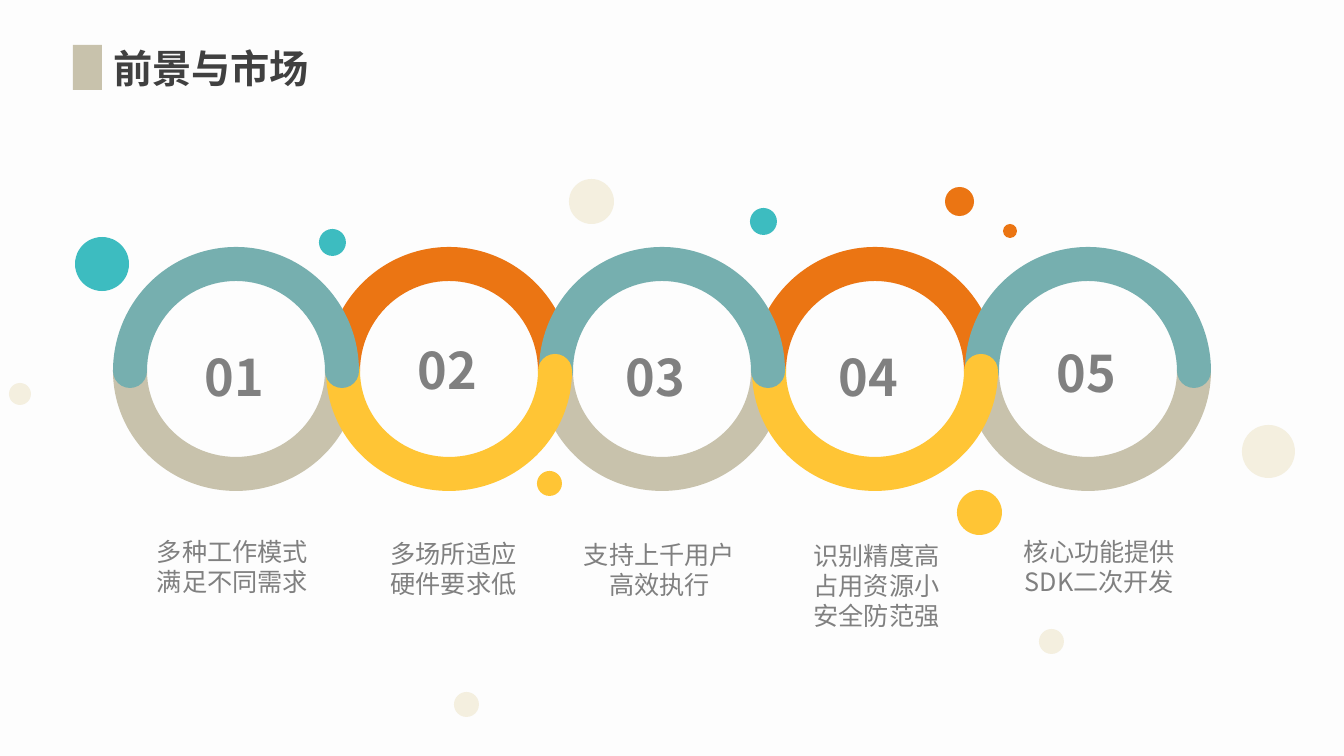
from lxml.etree import SubElement
from pptx import Presentation
from pptx.dml.color import RGBColor
from pptx.enum.shapes import MSO_SHAPE
from pptx.enum.text import MSO_ANCHOR, PP_ALIGN
from pptx.oxml.ns import qn
from pptx.util import Emu, Pt

COLORS = {
    "background": "FDFDFD", "title": "404040", "text": "808080",
    "sand": "C8C2AC", "cream": "F4EFDF", "orange": "EB7513",
    "teal": "76AFAF", "aqua": "3DBCC0", "yellow": "FFC535", "black": "000000",
}
FONT = "Noto Sans CJK SC"
RING_PITCH, MIDDLE_RING_X, RING_Y = 213, 662, 371
OUTER_RADIUS, BAND = 123, 34
CAP = BAND // 2
HALF_TURN = 180 * 60000

STAGES = [
    ("01", (195, 341), (114, 531, 237), ["多种工作模式", "满足不同需求"]),
    ("02", (408, 334), (346, 533, 215), ["多场所适应", "硬件要求低"]),
    ("03", (616, 341), (552, 534, 215), ["支持上千用户", "高效执行"]),
    ("04", (829, 341), (769, 535, 215), ["识别精度高", "占用资源小", "安全防范强"]),
    ("05", (1047, 337), (992, 531, 215), ["核心功能提供SDK二次开发"]),
]
DOTS = [
    (75, 237, 54, "aqua"), (750, 208, 27, "aqua"), (319, 229, 27, "aqua"),
    (9, 383, 22, "cream"), (569, 179, 45, "cream"), (957, 490, 45, "yellow"),
    (537, 471, 25, "yellow"), (454, 692, 25, "cream"), (945, 187, 29, "orange"),
    (1003, 224, 14, "orange"), (1242, 425, 53, "cream"), (1039, 629, 25, "cream"),
]


def px(value):
    return Emu(round(value * 914400 / 100.8))


class SlideBuilder:
    def __init__(self, deck):
        self.slide = deck.slides.add_slide(deck.slide_layouts[5])
        self.shapes = self.slide.shapes
        background = self.slide.background.fill
        background.solid()
        background.fore_color.rgb = self.color("background")

    def color(self, name):
        return RGBColor.from_string(COLORS[name])

    def paint(self, shape, color):
        shape.shadow.inherit = False
        shape.fill.solid()
        shape.fill.fore_color.rgb = self.color(color)
        shape.line.fill.background()

    def preset(self, kind, x, y, w, h, color):
        self.paint(self.shapes.add_shape(kind, px(x), px(y), px(w), px(h)), color)

    def half_ring(self, x, side, color):
        height = 124 if side < 0 else 120
        inner = OUTER_RADIUS - BAND
        corners = [
            (x, RING_Y + side * height), (x + OUTER_RADIUS, RING_Y),
            (x + inner + CAP, RING_Y - side * CAP), (x - inner, RING_Y),
        ]
        outline = self.shapes.build_freeform(
            px(x - OUTER_RADIUS), px(RING_Y), scale=1.0)
        outline.add_line_segments([(px(a), px(b)) for a, b in corners], close=True)
        shape = outline.convert_to_shape()
        contour = shape._element.find(".//" + qn("a:path"))
        for line in contour.findall(qn("a:lnTo")):
            contour.remove(line)
        closing = contour.find(qn("a:close"))
        for rx, ry, start, turn in (
            (OUTER_RADIUS, height, HALF_TURN, -side), (CAP, CAP, 0, -side),
            (inner, height - BAND, 0, side), (CAP, CAP, 0, -side),
        ):
            SubElement(contour, qn("a:arcTo"), wR=str(px(rx)), hR=str(px(ry)),
                       stAng=str(start), swAng=str(turn * HALF_TURN))
        contour.append(closing)
        self.paint(shape, color)

    def style(self, paragraph, size, color, bold):
        font = paragraph.font
        font.name, font.size, font.bold = FONT, Pt(size), bold
        font.color.rgb = self.color(color)
        for run in paragraph.runs:
            SubElement(run._r.get_or_add_rPr(), qn("a:ea"), typeface=FONT)

    def text(self, x, y, w, h, lines, size, bold=False, align=PP_ALIGN.LEFT):
        frame = self.shapes.add_textbox(px(x), px(y), px(w), px(h)).text_frame
        frame.word_wrap = True
        frame.text = "\n".join(lines)
        for paragraph in frame.paragraphs:
            paragraph.alignment = align
            self.style(paragraph, size, "text", bold)

    def title(self, x, y, w, h, words):
        title = self.shapes.title
        title.left, title.top, title.width, title.height = map(px, (x, y, w, h))
        frame = title.text_frame
        frame.text = words
        frame.word_wrap = False
        frame.vertical_anchor = MSO_ANCHOR.MIDDLE
        paragraph = frame.paragraphs[0]
        paragraph.alignment = PP_ALIGN.LEFT
        self.style(paragraph, 28, "title", True)
        properties = paragraph.runs[0]._r.get_or_add_rPr()
        effects = SubElement(properties, qn("a:effectLst"))
        properties.insert(0, effects)
        shadow = SubElement(effects, qn("a:outerShdw"), blurRad="38100",
                            dist="38100", dir="2700000", algn="tl")
        tint = SubElement(shadow, qn("a:srgbClr"), val=COLORS["black"])
        SubElement(tint, qn("a:alpha"), val="43000")


def main():
    deck = Presentation()
    deck.slide_width, deck.slide_height = px(1344), px(756)
    builder = SlideBuilder(deck)

    centers = [MIDDLE_RING_X + (i - 2) * RING_PITCH for i in range(len(STAGES))]
    for i, x in enumerate(centers):
        builder.half_ring(x, *((-1, "orange") if i % 2 else (1, "sand")))
    for i, x in reversed(list(enumerate(centers))):
        builder.half_ring(x, *((1, "yellow") if i % 2 else (-1, "teal")))

    for number, (x, y), (left, top, width), lines in STAGES:
        builder.text(x, y, 96, 72, [number], 36, bold=True)
        builder.text(left, top, width, 72, lines, 18, align=PP_ALIGN.CENTER)
    for x, y, size, color in DOTS:
        builder.preset(MSO_SHAPE.OVAL, x, y, size, size, color)

    builder.title(103, 39, 219, 57, "前景与市场")
    builder.preset(MSO_SHAPE.RECTANGLE, 73, 45, 29, 45, "sand")
    deck.save("out.pptx")


if __name__ == "__main__":
    main()
